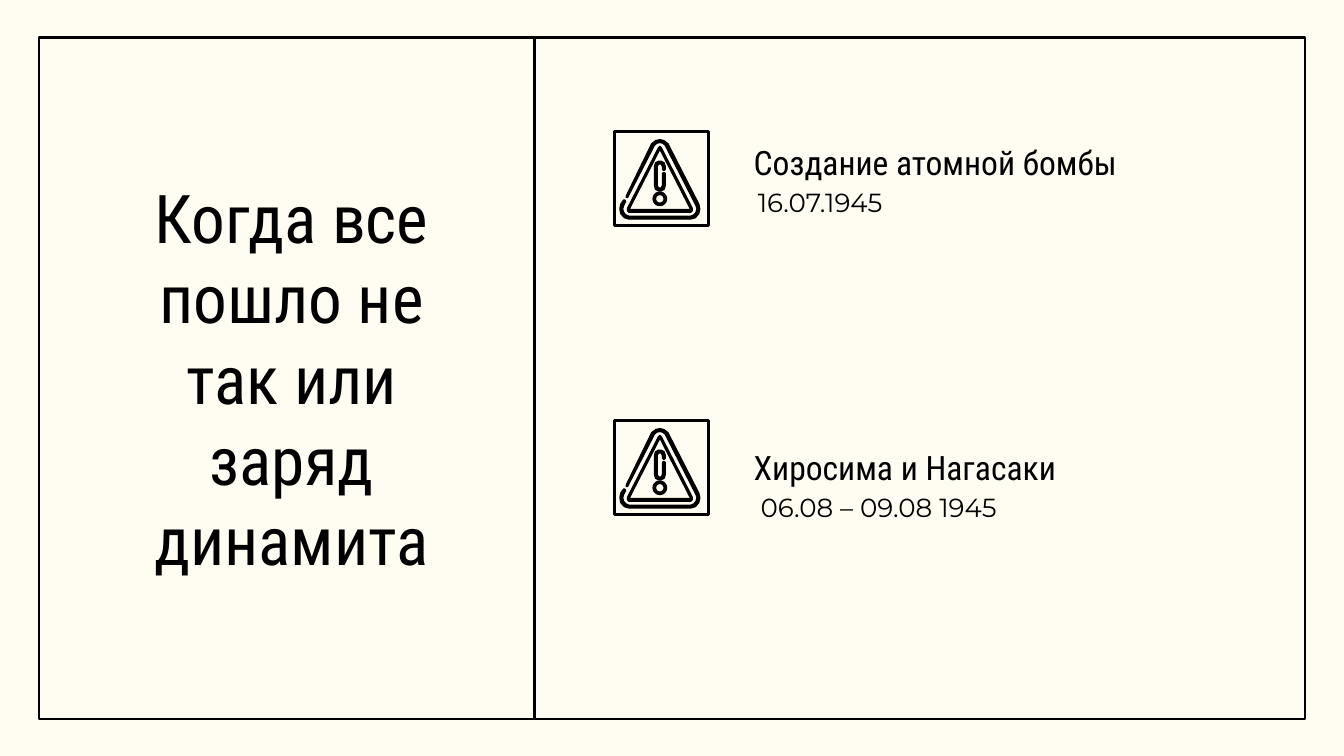
import math
from dataclasses import dataclass

import pptx
import pptx.dml.color
import pptx.enum.shapes
import pptx.enum.text
import pptx.oxml
import pptx.slide
import pptx.util

Inches = pptx.util.Inches
Pt = pptx.util.Pt
RGBColor = pptx.dml.color.RGBColor
Align = pptx.enum.text.PP_ALIGN

CREAM = RGBColor(0xFF, 0xFC, 0xF2)
BLACK = RGBColor(0x00, 0x00, 0x00)
HEADING_FONT = "Roboto Condensed"
BODY_FONT = "Montserrat"

ICON_LEFT = 4.57
ICON_SIZE = 0.7

Contour = list[tuple[float, float]]


@dataclass(frozen=True)
class Box:
    left: float
    top: float
    width: float
    height: float

    def lengths(self) -> list[pptx.util.Length]:
        return [Inches(n) for n in (self.left, self.top, self.width, self.height)]


@dataclass(frozen=True)
class Event:
    name: str
    date: str
    icon_top: float
    name_box: Box
    date_box: Box


EVENTS = [
    Event("Создание атомной бомбы", "16.07.1945", 0.98,
          Box(5.51, 1, 3.23, 0.41), Box(5.54, 0.92, 3.23, 1.17)),
    Event("Хиросима и Нагасаки", " 06.08 – 09.08 1945", 3.13,
          Box(5.51, 3.27, 3.23, 0.41), Box(5.51, 3.19, 3.23, 1.17)),
]


def circle(center_x: float, center_y: float, radius: float) -> Contour:
    angles = [math.tau * step / 24 for step in range(24)]
    return [(center_x + radius * math.cos(angle), center_y + radius * math.sin(angle))
            for angle in angles]


OUTER_BAND: Contour = [
    (340, 60), (310, 67), (280, 90), (90, 480), (90, 490), (100, 490),
    (300, 100), (317, 86), (340, 80), (363, 86), (380, 100), (610, 550),
    (617, 575), (610, 600), (594, 620), (570, 630), (110, 630), (86, 620),
    (70, 600), (63, 575), (70, 550), (85, 520), (80, 510), (70, 510),
    (50, 540), (43, 575), (50, 610), (76, 640), (110, 650), (570, 650),
    (604, 640), (630, 610), (637, 575), (630, 540), (400, 90), (370, 67),
]
INNER_TRIANGLE: list[Contour] = [
    [(340, 130), (570, 580), (110, 580)],
    [(340, 110), (350, 120), (580, 570), (580, 590), (570, 600),
     (110, 600), (100, 590), (100, 570), (330, 120)],
]
EXCLAMATION_BAR: Contour = [
    (330, 220), (308, 232), (300, 260), (300, 400), (308, 428), (330, 440),
    (350, 440), (372, 428), (380, 400), (380, 310), (370, 305), (360, 310),
    (360, 400), (350, 420), (330, 420), (320, 400), (320, 260), (330, 240),
    (350, 240), (360, 260), (360, 280), (370, 290), (380, 280), (380, 260),
    (372, 232), (350, 220),
]
EXCLAMATION_DOT = [circle(340, 500, 32), circle(340, 500, 50)]
WARNING_PARTS = [[OUTER_BAND], INNER_TRIANGLE, EXCLAMATION_DOT, [EXCLAMATION_BAR]]


def add_frame(slide: pptx.slide.Slide, box: Box) -> None:
    shape = slide.shapes.add_shape(
        pptx.enum.shapes.MSO_SHAPE.RECTANGLE, *box.lengths())
    shape.shadow.inherit = False
    shape.fill.background()
    shape.line.color.rgb = BLACK
    shape.line.width = Pt(1.5)


def add_divider(slide: pptx.slide.Slide, x: float, top: float, bottom: float) -> None:
    connector = slide.shapes.add_connector(
        pptx.enum.shapes.MSO_CONNECTOR.STRAIGHT,
        Inches(x), Inches(top), Inches(x), Inches(bottom))
    connector.line.color.rgb = BLACK
    connector.line.width = Pt(1.5)
    properties = connector.element.spPr
    properties.append(properties.makeelement(pptx.oxml.ns.qn("a:effectLst"), {}))


def add_text(slide: pptx.slide.Slide, box: Box, text: str, font: str,
             size: float, alignment: Align = Align.LEFT) -> None:
    frame = slide.shapes.add_textbox(*box.lengths()).text_frame
    frame.word_wrap = True
    frame.vertical_anchor = pptx.enum.text.MSO_ANCHOR.MIDDLE
    frame.margin_left = frame.margin_right = Inches(0.1)
    frame.margin_top = frame.margin_bottom = Inches(0.1)
    paragraph = frame.paragraphs[0]
    paragraph.text = text
    paragraph.alignment = alignment
    paragraph.font.name = font
    paragraph.font.size = Pt(size)
    paragraph.font.color.rgb = BLACK


def add_icon_part(slide: pptx.slide.Slide, contours: list[Contour], top: float) -> None:
    first, *others = contours
    builder = slide.shapes.build_freeform(*first[0], scale=Inches(0.001))
    builder.add_line_segments(first[1:], close=True)
    for contour in others:
        builder.move_to(*contour[0])
        builder.add_line_segments(contour[1:], close=True)
    shape = builder.convert_to_shape(Inches(ICON_LEFT), Inches(top))
    shape.shadow.inherit = False
    shape.fill.solid()
    shape.fill.fore_color.rgb = BLACK
    shape.line.color.rgb = BLACK
    shape.line.width = Pt(0.75)


def add_event(slide: pptx.slide.Slide, event: Event) -> None:
    add_text(slide, event.name_box, event.name, HEADING_FONT, 18)
    add_text(slide, event.date_box, event.date, BODY_FONT, 14)
    add_frame(slide, Box(ICON_LEFT, event.icon_top, ICON_SIZE, ICON_SIZE))
    for contours in WARNING_PARTS:
        add_icon_part(slide, contours, event.icon_top)


def main() -> None:
    presentation = pptx.Presentation()
    presentation.slide_width = Inches(10)
    presentation.slide_height = Inches(10) * 9 // 16
    slide = presentation.slides.add_slide(presentation.slide_layouts[6])
    slide.background.fill.solid()
    slide.background.fill.fore_color.rgb = CREAM

    add_frame(slide, Box(0.29, 0.28, 9.42, 5.07))
    add_divider(slide, 3.98, 0.28, 5.34)
    add_text(slide, Box(0.78, 1.2, 2.78, 3.22),
             "Когда все пошло не так или заряд динамита", HEADING_FONT, 36, Align.CENTER)
    for event in EVENTS:
        add_event(slide, event)
    presentation.save("out.pptx")


if __name__ == "__main__":
    main()
